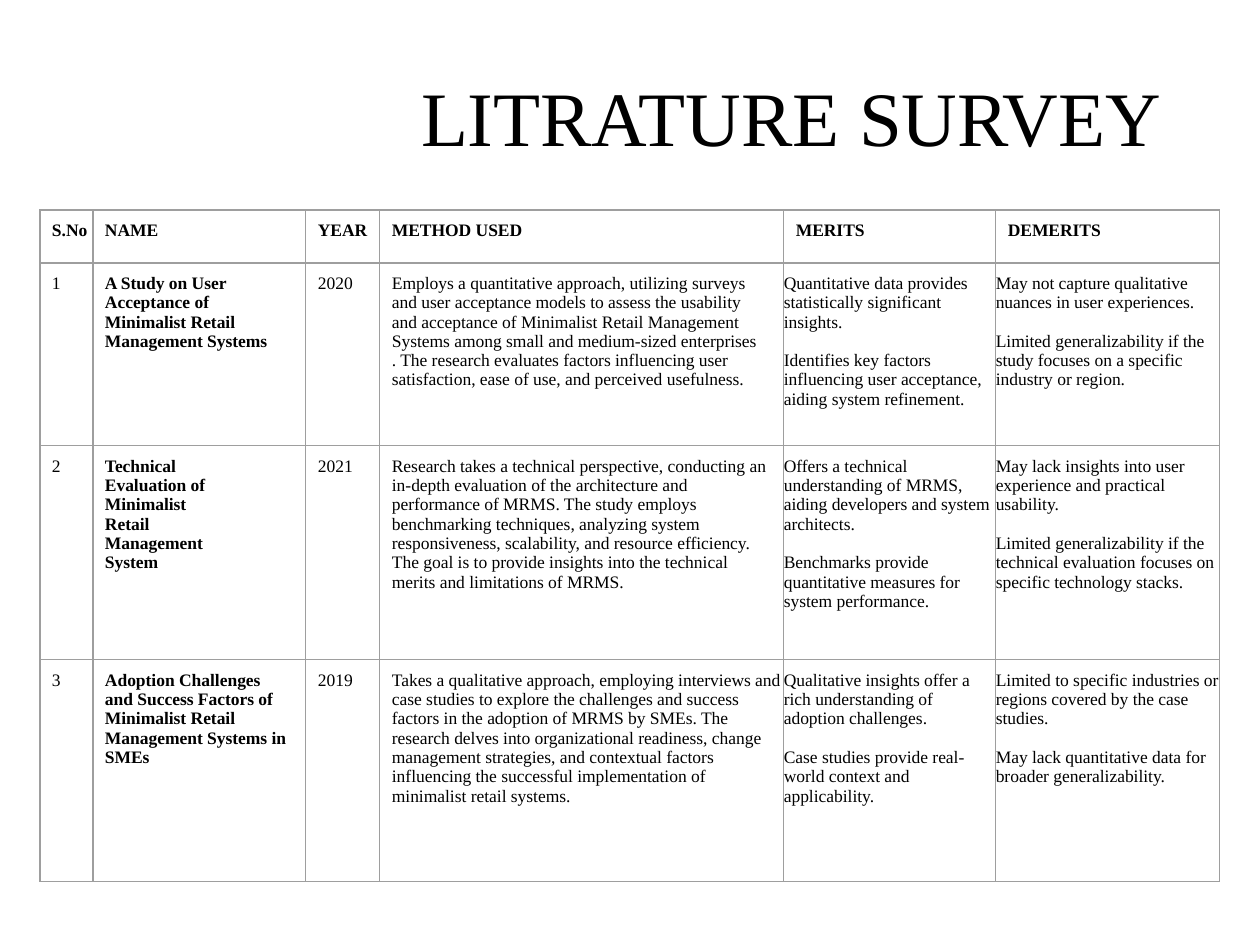
"""Build a literature survey slide: a title above a table of three studies."""
from lxml import etree
from pptx import Presentation
from pptx.dml.color import RGBColor
from pptx.enum.text import MSO_ANCHOR, PP_ALIGN
from pptx.oxml.ns import qn
from pptx.util import Pt

LEFT, BOTTOM, TOP = PP_ALIGN.LEFT, MSO_ANCHOR.BOTTOM, MSO_ANCHOR.TOP
PX = 914400 // 126
FONT = "Times New Roman"
COLORS = {"text": "000000", "border": "9E9E9E"}

TITLE = "LITRATURE SURVEY"
HEADERS = ["S.No", "NAME", "YEAR", "METHOD USED", "MERITS", "DEMERITS"]
STUDIES = [
    ("1", "A Study on User Acceptance of Minimalist Retail Management Systems", "2020",
     "Employs a quantitative approach, utilizing surveys and user acceptance models to assess "
     "the usability and acceptance of Minimalist Retail Management Systems among small and "
     "medium-sized enterprises . The research evaluates factors influencing user satisfaction, "
     "ease of use, and perceived usefulness.",
     ["Quantitative data provides statistically significant insights.",
      "Identifies key factors influencing user acceptance, aiding system refinement."],
     ["May not capture qualitative nuances in user experiences.",
      "Limited generalizability if the study focuses on a specific industry or region."]),
    ("2", "Technical Evaluation of Minimalist Retail Management System", "2021",
     "Research takes a technical perspective, conducting an in-depth evaluation of the "
     "architecture and performance of MRMS. The study employs benchmarking techniques, "
     "analyzing system responsiveness, scalability, and resource efficiency. The goal is to "
     "provide insights into the technical merits and limitations of MRMS.",
     ["Offers a technical understanding of MRMS, aiding developers and system architects.",
      "Benchmarks provide quantitative measures for system performance."],
     ["May lack insights into user experience and practical usability.",
      "Limited generalizability if the technical evaluation focuses on specific technology "
      "stacks."]),
    ("3", "Adoption Challenges and Success Factors of Minimalist Retail Management Systems in SMEs",
     "2019",
     "Takes a qualitative approach, employing interviews and case studies to explore the "
     "challenges and success factors in the adoption of MRMS by SMEs. The research delves into "
     "organizational readiness, change management strategies, and contextual factors influencing "
     "the successful implementation of minimalist retail systems.",
     ["Qualitative insights offer a rich understanding of adoption challenges.",
      "Case studies provide real-world context and applicability."],
     ["Limited to specific industries or regions covered by the case studies.",
      "May lack quantitative data for broader generalizability."]),
]
NAME_COLUMN = 1
TITLE_BOX = (420, 67, 787, 95)
TABLE_ORIGIN = (40, 210)
COLUMN_WIDTHS = [53, 213, 74, 404, 212, 224]
ROW_HEIGHTS = [53, 183, 214, 222]
CELL_PADDING = 12
RIGHT_INDENTS = {(1, 1): 16, (2, 1): 86, (3, 1): 16, (1, 3): 24, (2, 3): 11}


def set_insets(area, top):
    area.margin_left = area.margin_right = area.margin_bottom = 0
    area.margin_top = top * PX


def write(paragraph, text, size, bold=False, left=0, right=0):
    paragraph.alignment = LEFT
    indents = paragraph._p.get_or_add_pPr()
    indents.set("marL", str(left * PX))
    indents.set("marR", str(right * PX))
    indents.set("indent", "0")
    run = paragraph.add_run()
    run.text = text
    run.font.name, run.font.size, run.font.bold = FONT, Pt(size), bold
    run.font.color.rgb = RGBColor.from_string(COLORS["text"])


def draw_borders(cell):
    properties = cell._tc.get_or_add_tcPr()
    for side in ("lnL", "lnR", "lnT", "lnB"):
        border = etree.SubElement(properties, qn(f"a:{side}"), w=str(Pt(0.75)))
        fill = etree.SubElement(border, qn("a:solidFill"))
        etree.SubElement(fill, qn("a:srgbClr"), val=COLORS["border"])


def fill_cell(cell, content, bold, right):
    draw_borders(cell)
    cell.fill.background()
    cell.vertical_anchor = TOP
    set_insets(cell, CELL_PADDING - 1)
    points = content if isinstance(content, list) else [content]
    left = 0 if isinstance(content, list) else CELL_PADDING
    for number, point in enumerate(points):
        frame = cell.text_frame
        paragraph = frame.add_paragraph() if number else frame.paragraphs[0]
        paragraph.space_before = Pt(11 if number else 6.3 if left else 0)
        write(paragraph, point, 10, bold, left, right)


def add_survey_table(slide):
    rows = [HEADERS, *STUDIES]
    box = (*TABLE_ORIGIN, sum(COLUMN_WIDTHS), sum(ROW_HEIGHTS))
    survey = slide.shapes.add_table(
        len(rows), len(HEADERS), *(value * PX for value in box)).table
    survey.first_row = survey.horz_banding = False
    for column, width in zip(survey.columns, COLUMN_WIDTHS):
        column.width = width * PX
    for r, (row, height) in enumerate(zip(rows, ROW_HEIGHTS)):
        survey.rows[r].height = height * PX
        for c, content in enumerate(row):
            bold = r == 0 or c == NAME_COLUMN
            fill_cell(survey.cell(r, c), content, bold, RIGHT_INDENTS.get((r, c), 0))


def main():
    deck = Presentation()
    deck.slide_width, deck.slide_height = 1260 * PX, 945 * PX
    slide = deck.slides.add_slide(deck.slide_layouts[5])
    title = slide.shapes.title
    title.left, title.top, title.width, title.height = (value * PX for value in TITLE_BOX)
    set_insets(title.text_frame, 1)
    title.text_frame.vertical_anchor = BOTTOM
    write(title.text_frame.paragraphs[0], TITLE, 44, left=1)
    add_survey_table(slide)
    deck.save("out.pptx")


if __name__ == "__main__":
    main()
